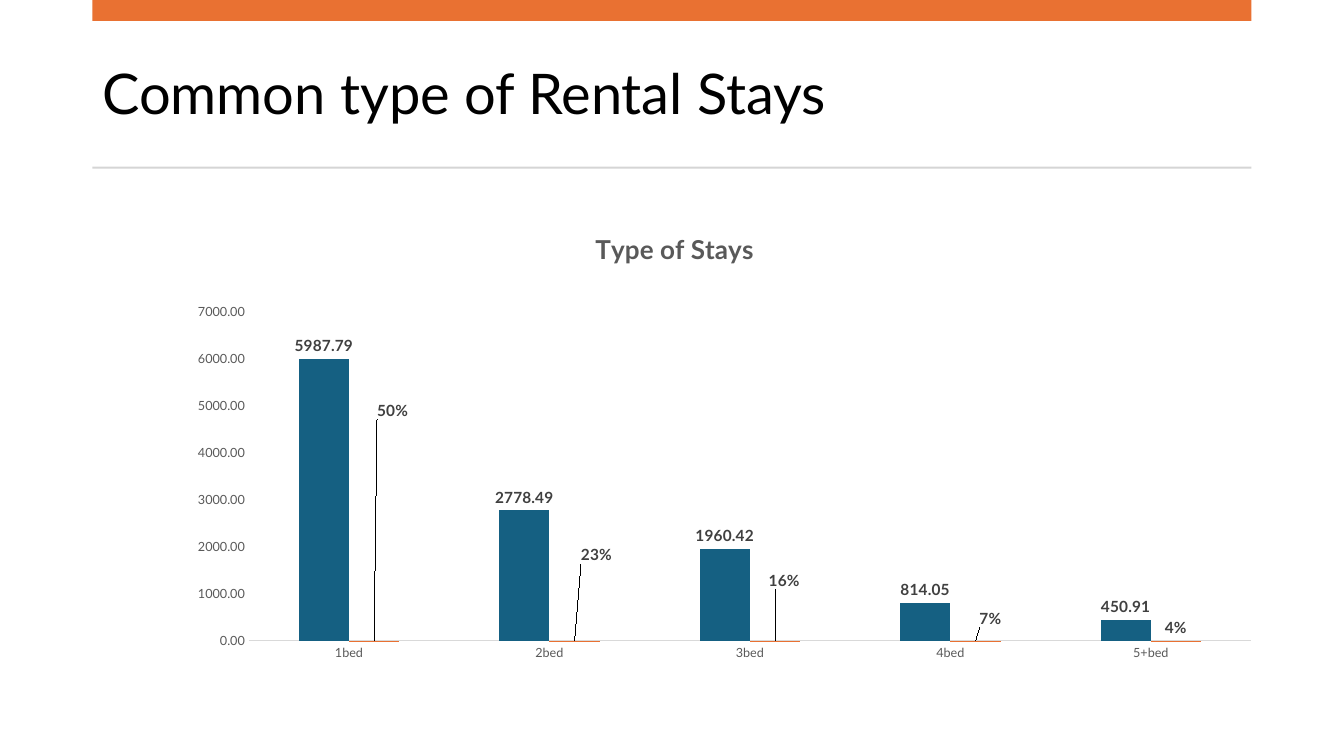
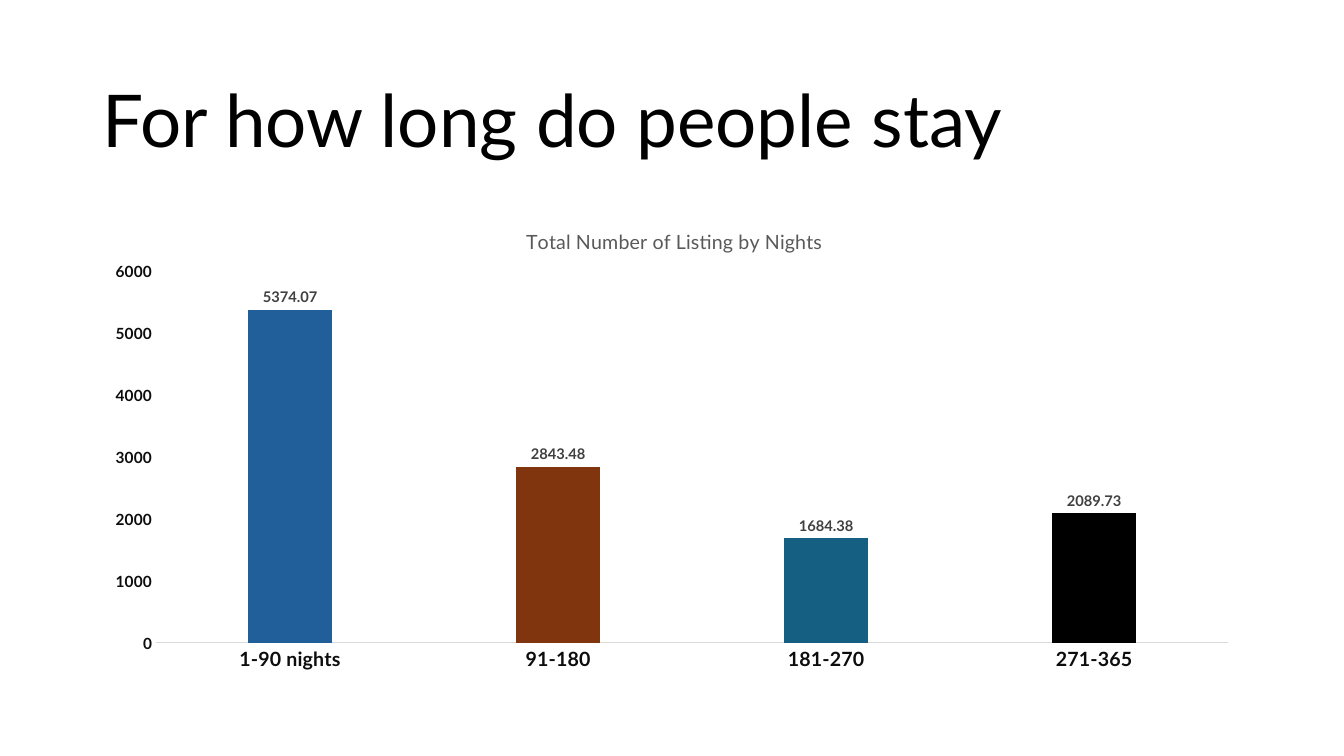
from pptx import Presentation
from pptx.chart.data import CategoryChartData
from pptx.dml.color import RGBColor
from pptx.enum import chart as ch, shapes, text
from pptx.oxml import parse_xml
from pptx.oxml.ns import nsdecls, qn
from pptx.util import Pt

# Shared style
FONT = "Lato"
BLACK, INK, GREY, DARK = "000000", "0D0D0D", "595959", "404040"
TEAL, ORANGE, RULE, AXIS = "156082", "E97132", "D5D5D5", "D9D9D9"
LEFT, WIDE = 66, 828
OUT = ch.XL_LABEL_POSITION.OUTSIDE_END


def rgb(code):
    return RGBColor.from_string(code)


def style(font, size, color, bold=False):
    font.name, font.size, font.bold = FONT, Pt(size), bold
    font.color.rgb = rgb(color)


def paint(fill, color):
    fill.solid()
    fill.fore_color.rgb = rgb(color)


def add_slide(deck, words, top, high, size):
    """Add a slide with a left-aligned title."""
    slide = deck.slides.add_slide(deck.slide_layouts[5])
    title = slide.shapes.title
    title.left, title.top = Pt(LEFT), Pt(top)
    title.width, title.height = Pt(WIDE), Pt(high)
    frame = title.text_frame
    frame.text = words
    frame.word_wrap = True
    frame.auto_size = text.MSO_AUTO_SIZE.NONE
    frame.vertical_anchor = text.MSO_ANCHOR.MIDDLE
    para = frame.paragraphs[0]
    para.alignment = text.PP_ALIGN.LEFT
    para.line_spacing = 0.9
    style(para.runs[0].font, size, BLACK)
    return slide


def add_band(slide, top, high, color):
    band = slide.shapes.add_shape(shapes.MSO_SHAPE.RECTANGLE,
                                  Pt(LEFT), Pt(top), Pt(WIDE), Pt(high))
    band.shadow.inherit = False
    paint(band.fill, color)
    band.line.fill.background()


def place(node, index, x, y, size=None, edge=True):
    """Give a chart part a manual layout, as fractions of the chart."""
    for old in node.findall(qn("c:layout")):
        node.remove(old)
    parts = [("layoutTarget", "inner")] if size else []
    if edge:
        parts += [("xMode", "edge"), ("yMode", "edge")]
    parts += [("x", x), ("y", y)]
    if size:
        parts += [("w", size[0]), ("h", size[1])]
    body = "".join(f'<c:{tag} val="{val}"/>' for tag, val in parts)
    node.insert(index, parse_xml(
        f'<c:layout {nsdecls("c")}><c:manualLayout>{body}'
        '</c:manualLayout></c:layout>'))


def add_chart(slide, cats, rows, gap, lap):
    """Add a clustered column chart without grid or legend."""
    data = CategoryChartData()
    data.categories = cats
    for num, row in enumerate(rows, 1):
        data.add_series(f"Series {num}", row)
    chart = slide.shapes.add_chart(
        ch.XL_CHART_TYPE.COLUMN_CLUSTERED,
        Pt(LEFT), Pt(144), Pt(WIDE), Pt(342.7), data).chart
    style(chart.font, 10, BLACK)
    chart.has_legend = False
    plot = chart.plots[0]
    plot.gap_width, plot.overlap = gap, lap
    plot.vary_by_categories = False
    return chart


def set_title(chart, words, size, bold, x, y):
    head = chart.chart_title
    head.text_frame.text = words
    style(head.text_frame.paragraphs[0].runs[0].font, size, GREY, bold)
    head.include_in_layout = False
    place(chart.element.xpath(".//c:chart/c:title")[0], 1, x, y)


def set_axes(chart, top, fmt, color, bold, sizes):
    cat, val = chart.category_axis, chart.value_axis
    for axis, size in zip((cat, val), sizes):
        axis.major_tick_mark = axis.minor_tick_mark = ch.XL_TICK_MARK.NONE
        axis.has_major_gridlines = False
        style(axis.tick_labels.font, size, color, bold)
    cat.format.line.color.rgb = rgb(AXIS)
    cat.format.line.width = Pt(0.75)
    val.format.line.fill.background()
    val.minimum_scale, val.maximum_scale, val.major_unit = 0, top, 1000
    val.tick_labels.number_format = fmt
    val.tick_labels.number_format_is_linked = False


def set_series(series, color, size, fmt):
    paint(series.format.fill, color)
    tags = series.data_labels
    tags.show_value, tags.position = True, OUT
    tags.number_format, tags.number_format_is_linked = fmt, False
    style(tags.font, size, DARK, True)


def shift_labels(chart, series, moves, size, fmt):
    """Move the first labels of a series away from their bars."""
    for num, (x, y) in enumerate(moves):
        tag = series.points[num].data_label
        style(tag.font, size, DARK, True)
        tag.position = OUT
    nodes = chart.element.xpath(".//c:dLbl")
    for node, (x, y) in zip(nodes, moves):
        place(node, 1, x, y, edge=False)
        node.insert(2, parse_xml(
            f'<c:numFmt {nsdecls("c")} formatCode="{fmt}" sourceLinked="0"/>'))


def set_plot(chart, x, y, wide, high):
    place(chart.element.xpath(".//c:plotArea")[0], 0, x, y, (wide, high))


def build_types(deck):
    slide = add_slide(deck, "Common type of Rental Stays", 26.6, 85, 40)
    add_band(slide, 0, 15, ORANGE)
    add_band(slide, 119, 1.5, RULE)
    chart = add_chart(slide, ["1bed", "2bed", "3bed", "4bed", "5+bed"],
                      [(5987.79, 2778.49, 1960.42, 814.05, 450.91),
                       (0.5, 0.23, 0.16, 0.07, 0.04)], 199, 0)
    set_title(chart, "Type of Stays", 18.6, True, 0.43, 0.05)
    set_axes(chart, 7000, "0.00", GREY, False, (9, 9))
    count, share = chart.plots[0].series
    set_series(count, TEAL, 11, "0.00")
    set_series(share, ORANGE, 11, "0%")
    moves = [(0.016, -0.454), (0.019, -0.152),
             (0.008, -0.098), (0.013, -0.019)]
    shift_labels(chart, share, moves, 11, "0%")
    set_plot(chart, 0.135, 0.229, 0.865, 0.687)


def build_nights(deck):
    slide = add_slide(deck, "For how long do people stay", 44, 89, 52)
    chart = add_chart(slide, ["1-90 nights", "91-180", "181-270", "271-365"],
                      [(5374.07, 2843.48, 1684.38, 2089.73)], 219, -27)
    set_title(chart, "Total Number of Listing by Nights", 14, False,
              0.371, 0.045)
    set_axes(chart, 6000, "General", INK, True, (14, 11))
    nights = chart.plots[0].series[0]
    set_series(nights, TEAL, 10.5, "General")
    for num, color in {0: "215F9A", 1: "80350E", 3: BLACK}.items():
        paint(nights.points[num].format.fill, color)
    set_plot(chart, 0.055, 0.145, 0.925, 0.775)


def main():
    deck = Presentation()
    deck.slide_width, deck.slide_height = Pt(960), Pt(540)
    build_types(deck)
    build_nights(deck)
    deck.save("out.pptx")


if __name__ == "__main__":
    main()
